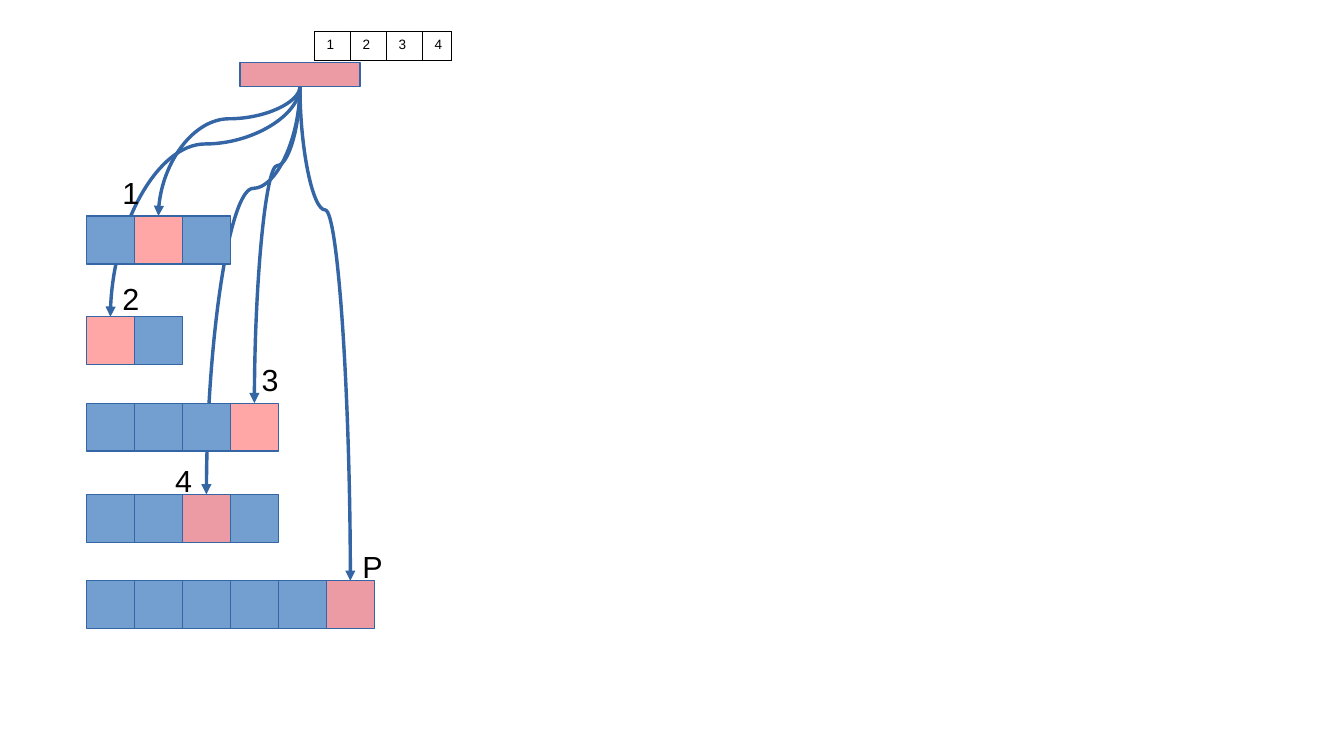
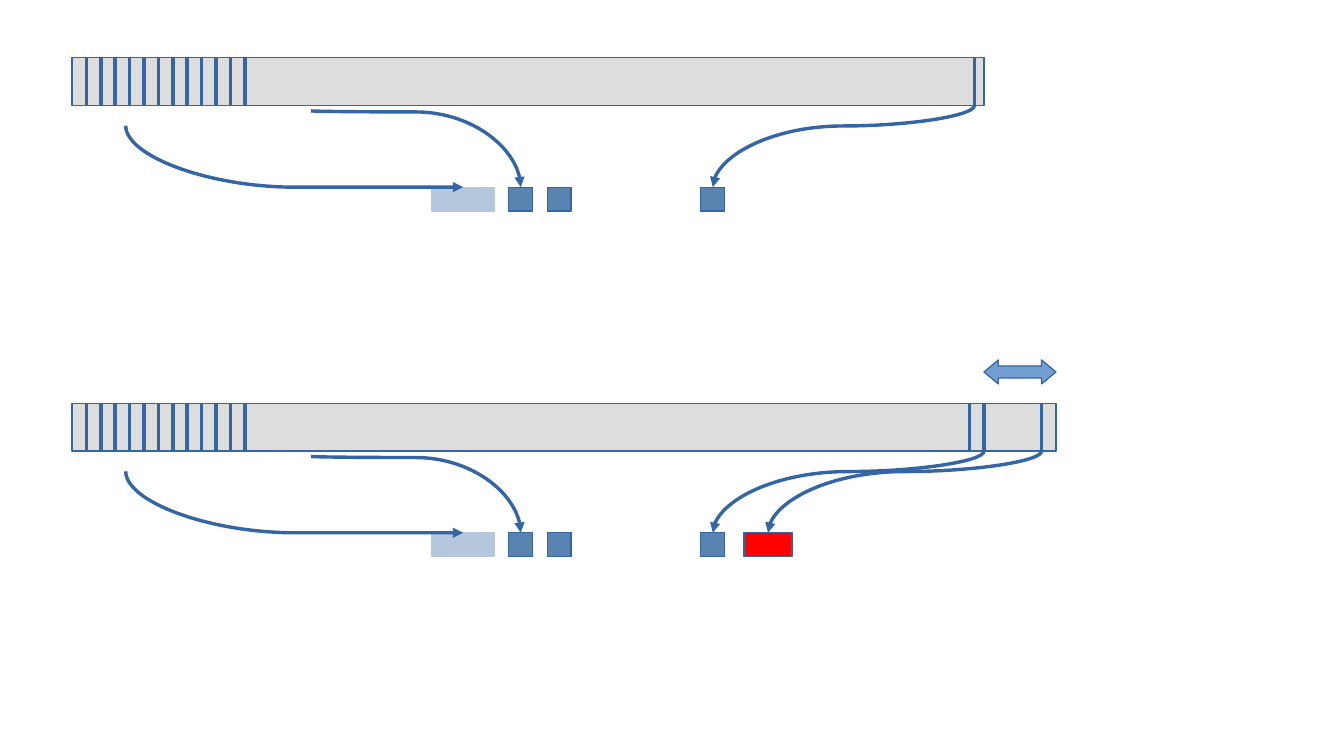
from dataclasses import dataclass

from lxml.etree import SubElement
from pptx import Presentation
from pptx.dml.color import RGBColor
from pptx.enum.shapes import MSO_CONNECTOR, MSO_SHAPE
from pptx.oxml.ns import qn
from pptx.util import Cm, Pt


@dataclass(frozen=True)
class Theme:
    outline: str = "3465A4"
    block: str = "729FCF"
    picked: str = "FFA6A6"
    chosen: str = "EC9BA4"
    band: str = "DDDDDD"
    item: str = "5983B0"
    pale: str = "B4C7DC"
    added: str = "FF0000"
    ink: str = "000000"
    font: str = "Arial"
    label_size: int = 18
    index_size: int = 8
    border: float = 0.57


theme = Theme()
GRID = Cm(1)
COLUMNS, ROWS = 28, 15.75


def add_box(slide, left, top, width, height, fill, outline=theme.outline, kind=MSO_SHAPE.RECTANGLE):
    box = slide.shapes.add_shape(kind, *(round(n * GRID) for n in (left, top, width, height)))
    box.shadow.inherit = False
    box.fill.solid()
    box.fill.fore_color.rgb = RGBColor.from_string(fill)
    box.line.color.rgb = RGBColor.from_string(outline)
    box.line.width = 0
    return box


def add_link(slide, start, end, bend=None):
    (x1, y1), (x2, y2) = start, end
    kind = MSO_CONNECTOR.STRAIGHT
    if bend is not None:
        kind = MSO_CONNECTOR.CURVE
        middle_x, middle_y = (x1 + x2) / 2, (y1 + y2) / 2
        half_drop, half_run = (y2 - y1) / 2, abs(x2 - x1) / 2
        x1, x2 = middle_x - half_drop, middle_x + half_drop
        y1, y2 = middle_y - half_run, middle_y + half_run
    link = slide.shapes.add_connector(kind, *(round(n * GRID) for n in (x1, y1, x2, y2)))
    link.line.color.rgb = RGBColor.from_string(theme.outline)
    link.line.width = 0
    properties = link._element.spPr
    SubElement(properties, qn("a:effectLst"))
    if bend is not None:
        frame = properties.find(qn("a:xfrm"))
        if end[0] > start[0]:
            frame.set("rot", str(270 * 60000))
            frame.set("flipH", "1")
        else:
            frame.set("rot", str(90 * 60000))
        geometry = properties.find(qn("a:prstGeom"))
        guides = geometry.find(qn("a:avLst"))
        if guides is None:
            guides = SubElement(geometry, qn("a:avLst"))
        SubElement(guides, qn("a:gd"), name="adj1", fmla=f"val {round(bend * 100000)}")
        SubElement(properties.find(qn("a:ln")), qn("a:tailEnd"), type="triangle")


deck = Presentation()
deck.slide_width = round(COLUMNS * GRID)
deck.slide_height = round(ROWS * GRID)
blank = deck.slide_layouts[6]

lists = deck.slides.add_slide(blank)
LIST_LEFT = 1.8
selected_lists = [
    ("1", 4.5, 3, 1, theme.picked, 0.25, (2.3, 3.5)),
    ("2", 6.6, 2, 0, theme.picked, 0.25, (2.3, 5.7)),
    ("3", 8.4, 4, 3, theme.picked, 0.25, (5.2, 7.4)),
    ("4", 10.3, 4, 2, theme.chosen, 0.25, (3.4, 9.5)),
    ("P", 12.1, 6, 5, theme.chosen, 0.25, (7.3, 11.3)),
]
add_box(lists, 5, 1.3, 2.5, 0.5, theme.chosen)
for name, top, count, pick, pick_color, bend, place in selected_lists:
    add_link(lists, (6.25, 1.8), (LIST_LEFT + pick + 0.5, top), bend)
for name, top, count, pick, pick_color, bend, place in selected_lists:
    for position in range(count):
        add_box(lists, LIST_LEFT + position, top, 1, 1, pick_color if position == pick else theme.block)

index_widths = [0.75, 0.75, 0.75, 0.6]
index = lists.shapes.add_table(
    1, len(index_widths), *(round(n * GRID) for n in (6.55, 0.65, sum(index_widths), 0.6))
).table
index.first_row = False
index.horz_banding = False
for number, width in enumerate(index_widths):
    index.columns[number].width = round(width * GRID)
    entry = index.cell(0, number)
    entry.text_frame.text = str(number + 1)
    digit = entry.text_frame.paragraphs[0].runs[0].font
    digit.name, digit.size = theme.font, Pt(theme.index_size)
    digit.color.rgb = RGBColor.from_string(theme.ink)
    entry_properties = entry._tc.get_or_add_tcPr()
    for side in ("lnL", "lnR", "lnT", "lnB"):
        edge = SubElement(entry_properties, qn(f"a:{side}"), w=str(Pt(theme.border)))
        SubElement(SubElement(edge, qn("a:solidFill")), qn("a:srgbClr"), val=theme.ink)
    entry.fill.background()

for name, top, count, pick, pick_color, bend, (label_left, label_top) in selected_lists:
    label = lists.shapes.add_textbox(
        *(round(n * GRID) for n in (label_left, label_top, 1, 0.97))
    ).text_frame
    label.word_wrap = True
    label.text = name
    letter = label.paragraphs[0].runs[0].font
    letter.name, letter.size = theme.font, Pt(theme.label_size)
    letter.color.rgb = RGBColor.from_string(theme.ink)

growth = deck.slides.add_slide(blank)
stages = [
    (1.2, 19, [20.3], [(20.3, 14.85)], []),
    (8.4, 20.5, [20.2, 20.5, 21.7], [(20.5, 14.85), (21.7, 16)], [15.5]),
]
for top, band_width, late_ticks, late_links, added_items in stages:
    item_top = top + 2.7
    add_box(growth, 1.5, top, band_width, 1, theme.band)
    early_ticks = [1.8 + 0.3 * step for step in range(12)]
    for tick in early_ticks + late_ticks:
        add_link(growth, (tick, top), (tick, top + 1))
    for item_left in (10.6, 11.4, 14.6):
        add_box(growth, item_left, item_top, 0.5, 0.5, theme.item)
    for added_left in added_items:
        add_box(growth, added_left, item_top, 1, 0.5, theme.added)
    add_box(growth, 9, item_top, 1.3, 0.5, theme.pale, theme.pale)
    add_link(growth, (2.62, top + 1.42), (9.65, item_top), 1)
    add_link(growth, (6.48, top + 1.11), (10.85, item_top), 0.015)
    for source, target in late_links:
        add_link(growth, (source, top + 1), (target, item_top), 0.25)

extension = add_box(growth, 20.5, 7.5, 1.5, 0.5, theme.block, kind=MSO_SHAPE.LEFT_RIGHT_ARROW)
extension.adjustments[0] = 0.5
extension.adjustments[1] = 0.6

deck.save("out.pptx")
